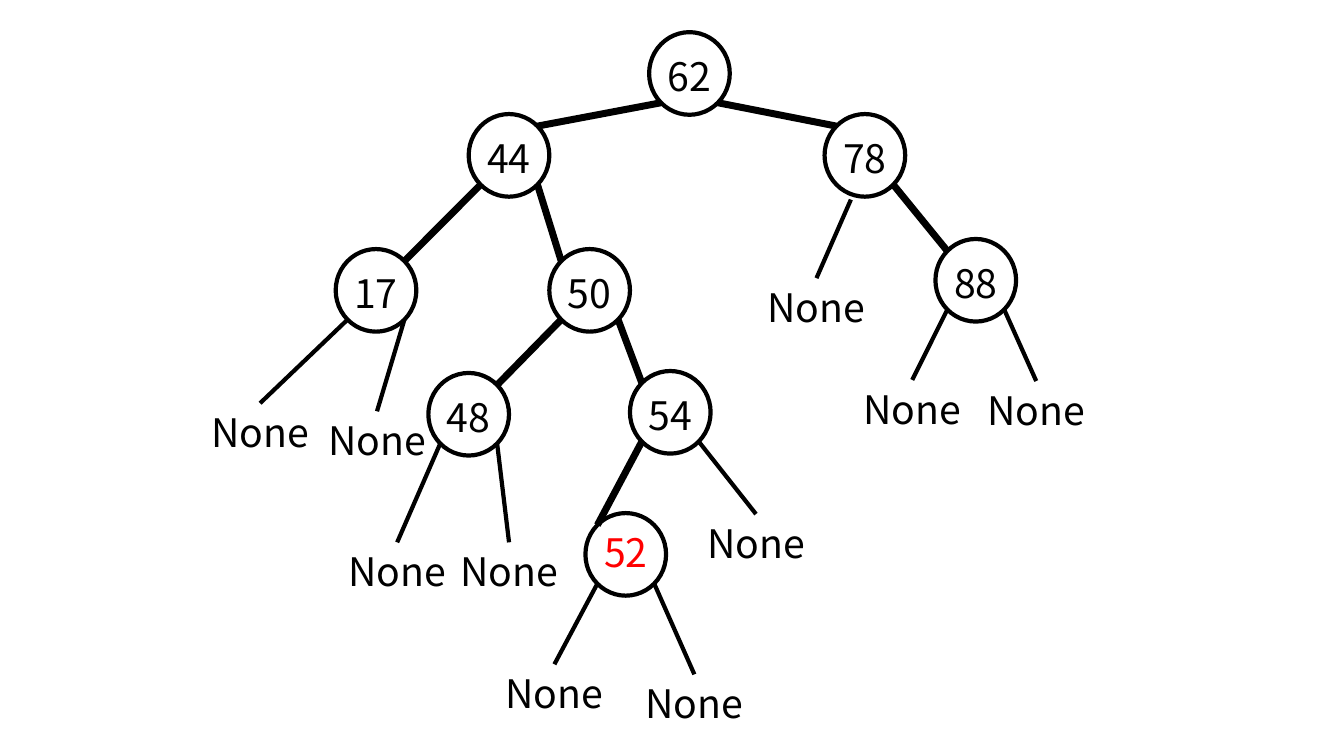
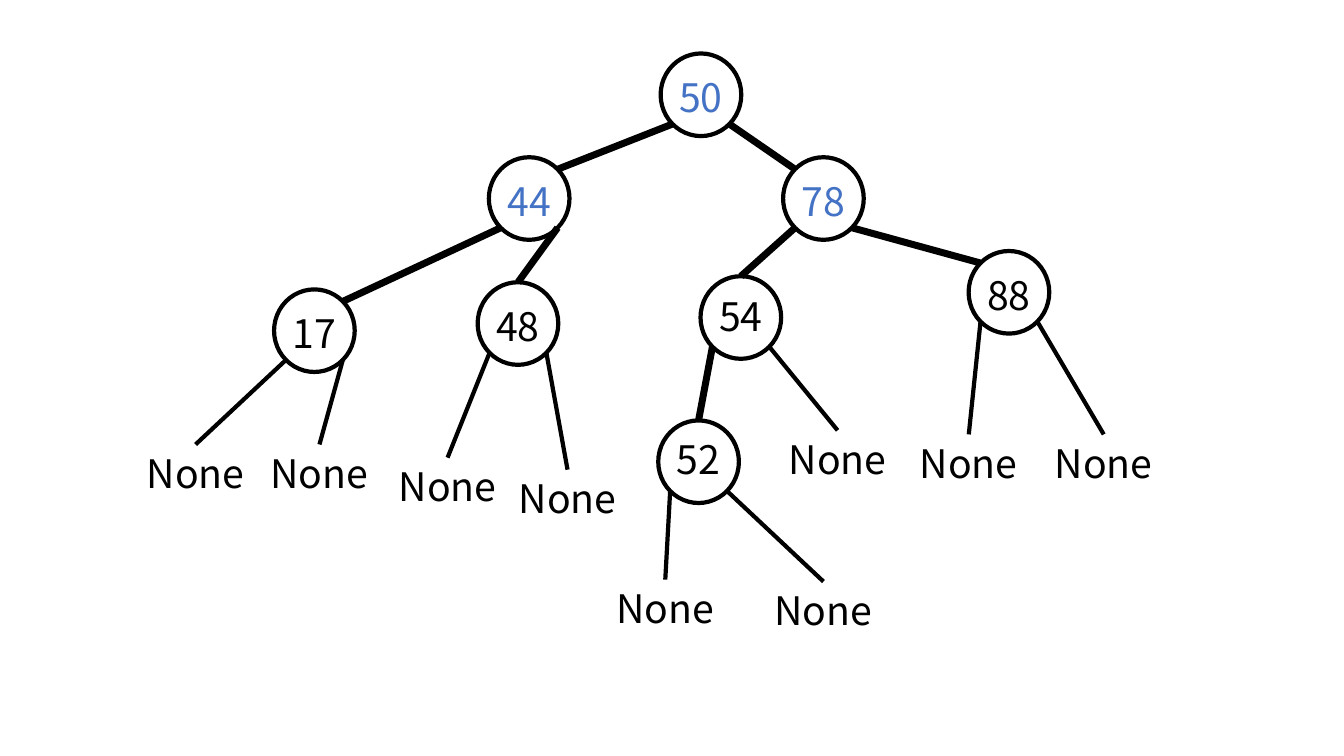
"""Draw two binary search trees, before and after restructuring."""
from dataclasses import dataclass
from typing import Optional, Union

from lxml.etree import SubElement
from pptx import Presentation
from pptx.dml.color import RGBColor
from pptx.enum.shapes import MSO_CONNECTOR, MSO_SHAPE
from pptx.enum.text import MSO_ANCHOR, PP_ALIGN
from pptx.oxml.ns import qn
from pptx.slide import Slide
from pptx.text.text import TextFrame
from pptx.util import Pt

BLACK = RGBColor(0x00, 0x00, 0x00)
RED = RGBColor(0xFF, 0x00, 0x00)
BLUE = RGBColor(0x44, 0x72, 0xC4)
FONT = "Noto Sans CJK KR"
SIZE = 28
NODE_W, NODE_H = 57.6, 59
DIAG_X, DIAG_Y = 20.3, 20.9
LEAF_W, LEAF_H = 86.4, 47.6
THIN, THICK = 3, 5


@dataclass(frozen=True)
class Leaf:
    """A None child whose edge ends at x, y."""
    x: float
    y: float
    start: tuple[float, float] = (DIAG_X, DIAG_Y)


@dataclass(frozen=True)
class Node:
    """A keyed circle centred on x, y; joint is the side its parent edge meets."""
    key: str
    x: float
    y: float
    left: Union["Node", Leaf]
    right: Union["Node", Leaf]
    color: RGBColor = BLACK
    joint: Optional[int] = None
    inset: float = 5.8


BEFORE = Node(
    "62", 492.5, 52.5,
    Node("44", 363.6, 111,
         Node("17", 268.6, 207.4, Leaf(185.8, 288), Leaf(269.3, 293.8)),
         Node("50", 421.2, 207.4,
              Node("48", 334.8, 295.9, Leaf(283.7, 387.4), Leaf(363.6, 387.4)),
              Node("54", 478.8, 294.5,
                   Node("52", 447, 396, Leaf(396, 474.5), Leaf(496, 481.7),
                        RED, joint=-1, inset=2.2),
                   Leaf(540, 367.2)))),
    Node("78", 617.8, 111,
         Leaf(583.2, 198.7, start=(10, 31.6)),
         Node("88", 697, 200.2, Leaf(651.6, 271.4), Leaf(740.2, 272.2))))

AFTER = Node(
    "50", 500.7, 67.7,
    Node("44", 378, 141.8,
         Node("17", 224.6, 236.2, Leaf(139.7, 317.5), Leaf(228.2, 317.5)),
         Node("48", 370, 231.1, Leaf(319.7, 326.9), Leaf(405.4, 335.5), joint=0),
         BLUE),
    Node("78", 588.2, 141.8,
         Node("54", 529.2, 226.8,
              Node("52", 499, 329.8, Leaf(475.2, 414), Leaf(588.2, 415.4),
                   joint=0, inset=2.2),
              Leaf(598.3, 307.4), joint=0, inset=2.9),
         Node("88", 720.7, 208.8, Leaf(692, 310.3), Leaf(788.4, 310.3)),
         BLUE),
    BLUE)


def write(tf: TextFrame, text: str, color: RGBColor, top: float) -> None:
    """Put one centred run at the top of a frame."""
    tf.word_wrap = True
    tf.vertical_anchor = MSO_ANCHOR.TOP
    tf.margin_left = tf.margin_right = tf.margin_bottom = 0
    tf.margin_top = Pt(top)
    p = tf.paragraphs[0]
    p.alignment = PP_ALIGN.CENTER
    r = p.add_run()
    r.text = text
    r.font.name = FONT
    r.font.size = Pt(SIZE)
    r.font.color.rgb = color


def draw_edge(s: Slide, x1: float, y1: float, x2: float, y2: float,
              width: float) -> None:
    """Draw a straight black edge."""
    line = s.shapes.add_connector(
        MSO_CONNECTOR.STRAIGHT, Pt(x1), Pt(y1), Pt(x2), Pt(y2))
    line.line.color.rgb = BLACK
    line.line.width = Pt(width)
    SubElement(line._element.spPr, qn("a:effectLst"))


def draw_leaf(s: Slide, leaf: Leaf) -> None:
    """Draw the None label below the end of an edge."""
    box = s.shapes.add_textbox(
        Pt(leaf.x - LEAF_W / 2), Pt(leaf.y), Pt(LEAF_W), Pt(LEAF_H))
    write(box.text_frame, "None", BLACK, 3.6)


def edge_end(child: Node, side: int) -> tuple[float, float]:
    """Find where the edge from the parent meets a child circle."""
    joint = -side if child.joint is None else child.joint
    rise = DIAG_Y if joint else NODE_H / 2
    return child.x + joint * DIAG_X, child.y - rise


def draw_tree(s: Slide, node: Node) -> None:
    """Draw a circle, its two edges and everything below it."""
    sp = s.shapes.add_shape(
        MSO_SHAPE.OVAL, Pt(node.x - NODE_W / 2), Pt(node.y - NODE_H / 2),
        Pt(NODE_W), Pt(NODE_H))
    sp.shadow.inherit = False
    sp.fill.background()
    sp.line.color.rgb = BLACK
    sp.line.width = Pt(THIN)
    write(sp.text_frame, node.key, node.color, node.inset)
    for side, child in ((-1, node.left), (1, node.right)):
        if isinstance(child, Leaf):
            dx, dy = child.start
            draw_edge(s, node.x + side * dx, node.y + dy, child.x, child.y, THIN)
            draw_leaf(s, child)
        else:
            x, y = edge_end(child, side)
            draw_edge(s, node.x + side * DIAG_X, node.y + DIAG_Y, x, y, THICK)
            draw_tree(s, child)


def main() -> None:
    """Build one slide per tree."""
    prs = Presentation()
    prs.slide_width, prs.slide_height = Pt(960), Pt(540)
    for root in (BEFORE, AFTER):
        draw_tree(prs.slides.add_slide(prs.slide_layouts[6]), root)
    prs.save("out.pptx")


if __name__ == "__main__":
    main()
